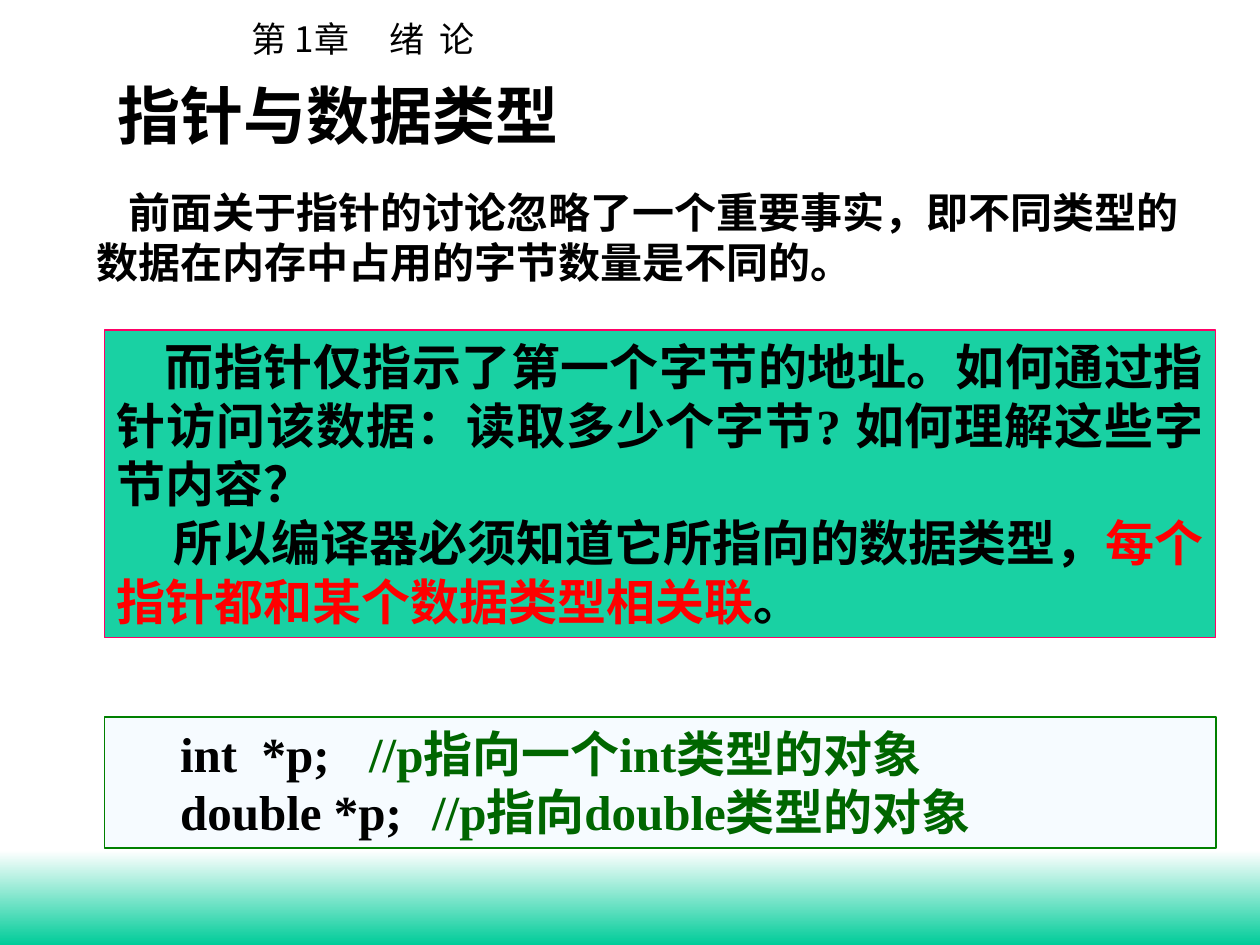
from lxml import etree
from pptx import Presentation
from pptx import util as u
from pptx.dml import color
from pptx.enum import shapes, text
from pptx.oxml import ns

HUES = {"ink": "000000", "white": "FFFFFF", "mint": "00CC99", "pale": "EFF9FF",
        "green": "008000", "note": "006600", "pink": "FF0066", "red": "FF0000"}
SANS, SERIF = "Noto Sans CJK SC", "Times New Roman"


def hue(name):
    return color.RGBColor.from_string(HUES[name])


def write(par, words, size, face=SERIF, tone="ink", bold=True):
    run = par.add_run()
    run.text = words
    font = run.font
    font.size, font.bold, font.name = u.Pt(size), bold, face
    font.color.rgb = hue(tone)
    etree.SubElement(font._element, ns.qn("a:ea"), typeface=SANS)
    return run


deck = Presentation()
deck.slide_width, deck.slide_height = u.Inches(10), u.Inches(7.5)
slide = deck.slides.add_slide(deck.slide_layouts[5])

band = slide.shapes.add_shape(shapes.MSO_SHAPE.RECTANGLE, u.Inches(0), u.Inches(6.75),
                              u.Inches(10), u.Inches(0.75))
band.shadow.inherit = False
band.line.fill.background()
band.fill.gradient()
band.fill.gradient_angle = 270
for stop, name in zip(band.fill.gradient_stops, ("white", "mint")):
    stop.color.rgb = hue(name)

head = slide.shapes.add_textbox(u.Inches(1.9), u.Inches(0.09), u.Inches(2.04), u.Inches(0.44))
head.text_frame.word_wrap = True
par = head.text_frame.paragraphs[0]
tabs = etree.SubElement(par._p.get_or_add_pPr(), ns.qn("a:tabLst"))
for pos in (1.09, 1.49):
    etree.SubElement(tabs, ns.qn("a:tab"), pos=str(u.Inches(pos)), algn="l")
write(par, "第 1章\t绪\t论", 20, SANS, bold=False)

title = slide.shapes.title
title.left, title.top = u.Inches(0.83), u.Inches(0.5)
title.width, title.height = u.Inches(7.64), u.Inches(0.81)
title.text_frame.vertical_anchor = text.MSO_ANCHOR.MIDDLE
par = title.text_frame.paragraphs[0]
par.alignment = text.PP_ALIGN.LEFT
write(par, "指针与数据类型", 36)

lead = slide.shapes.add_textbox(u.Inches(0.67), u.Inches(1.43), u.Inches(9.06), u.Inches(0.9))
lead.text_frame.word_wrap = True
lead.text_frame.vertical_anchor = text.MSO_ANCHOR.MIDDLE
par = lead.text_frame.paragraphs[0]
par._p.get_or_add_pPr().set("indent", str(u.Inches(0.25)))
run = write(par, "前面关于指针的讨论忽略了一个重要事实，即不同类型的数据在内存中占用的字节数量是不同的。",
            24, SANS)
glow = etree.Element(ns.qn("a:effectLst"))
cast = etree.SubElement(glow, ns.qn("a:outerShdw"), dist="25400", dir="2700000")
etree.SubElement(cast, ns.qn("a:srgbClr"), val="C0C0C0")
run.font._element.find(ns.qn("a:solidFill")).addnext(glow)

boxes = [
    (5.69, 1.04, "pale", 54, "green", 1, 0.6, text.PP_ALIGN.LEFT, [
        (0, [("int  *p;\t", "ink"), ("//p指向一个int类型的对象", "note")]),
        (0, [("double *p;\t", "ink"), ("//p指向double类型的对象", "note")])]),
    (2.62, 2.44, "mint", 90, "pink", 0.75, 0.1, text.PP_ALIGN.JUSTIFY, [
        (0.38, [("而指针仅指示了第一个字节的地址。如何通过指针访问该数据：读取多少个字节? "
                 "如何理解这些字节内容？", "ink")]),
        (0.45, [("所以编译器必须知道它所指向的数据类型，", "ink"),
                ("每个指针都和某个数据类型相关联", "red"), ("。", "ink")])]),
]
for top, high, fill, alpha, edge, width, inset, align, pars in boxes:
    box = slide.shapes.add_shape(shapes.MSO_SHAPE.RECTANGLE, u.Inches(0.83), u.Inches(top),
                                 u.Inches(8.82), u.Inches(high))
    box.shadow.inherit = False
    box.fill.solid()
    box.fill.fore_color.rgb = hue(fill)
    tint = box._element.spPr.find(ns.qn("a:solidFill"))[0]
    etree.SubElement(tint, ns.qn("a:alpha"), val=str(alpha * 1000))
    box.line.color.rgb = hue(edge)
    box.line.width = u.Pt(width)
    frame = box.text_frame
    frame.word_wrap = True
    frame.vertical_anchor = text.MSO_ANCHOR.TOP
    frame.margin_left = u.Inches(inset)
    for i, (indent, runs) in enumerate(pars):
        par = frame.add_paragraph() if i else frame.paragraphs[0]
        par.alignment = align
        props = par._p.get_or_add_pPr()
        props.set("indent", str(u.Inches(indent)))
        if "\t" in runs[0][0]:
            tabs = etree.SubElement(props, ns.qn("a:tabLst"))
            etree.SubElement(tabs, ns.qn("a:tab"), pos=str(u.Inches(2.15)), algn="l")
        for words, tone in runs:
            write(par, words, 28, tone=tone)

deck.save("out.pptx")
